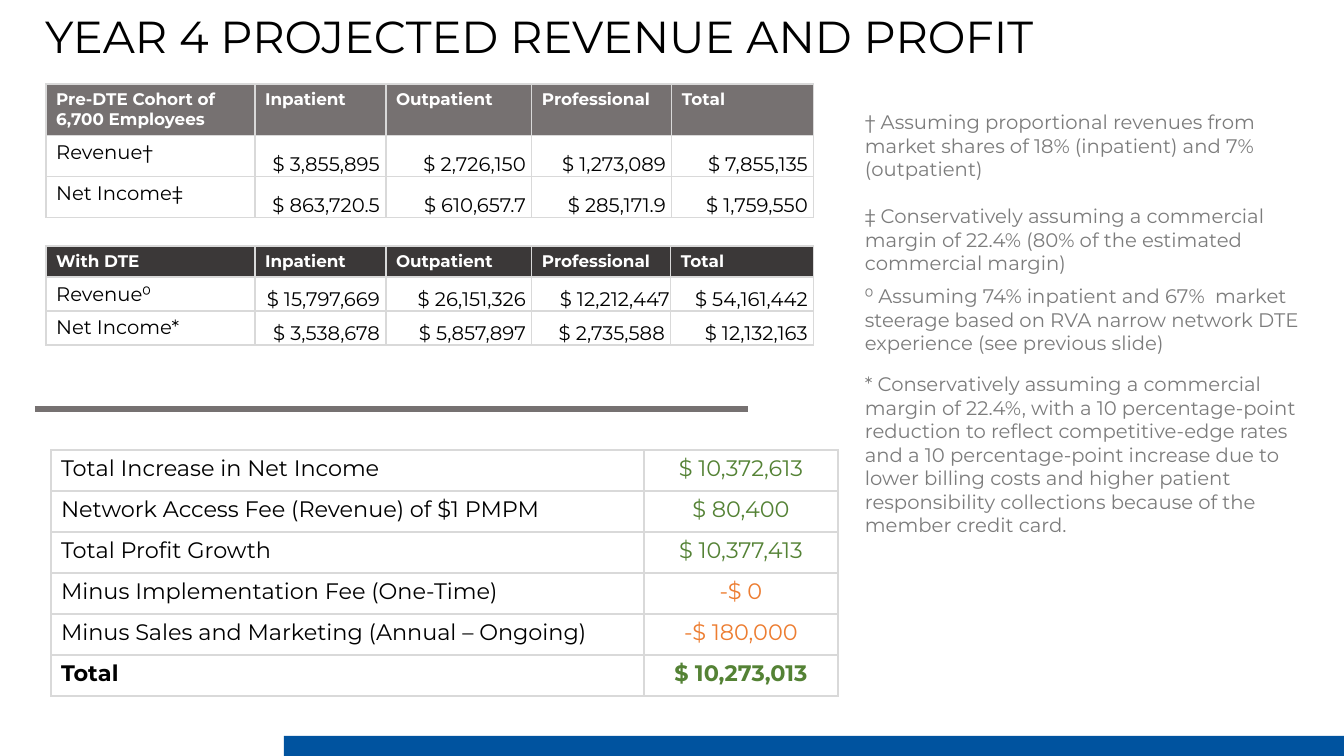
"""Build the year 4 projected revenue and profit slide."""
from lxml import etree
from pptx import Presentation
from pptx.dml.color import RGBColor
from pptx.enum.shapes import MSO_CONNECTOR, MSO_SHAPE
from pptx.enum.text import MSO_ANCHOR, PP_ALIGN
from pptx.oxml import parse_xml
from pptx.oxml.ns import nsdecls, qn
from pptx.util import Emu, Pt

LEFT, CENTER, RIGHT = PP_ALIGN.LEFT, PP_ALIGN.CENTER, PP_ALIGN.RIGHT
TOP, BOTTOM = MSO_ANCHOR.TOP, MSO_ANCHOR.BOTTOM
STRAIGHT, RECTANGLE = MSO_CONNECTOR.STRAIGHT, MSO_SHAPE.RECTANGLE
SCALE = 914400 / 100.8
FONT = "Montserrat"
COLOURS = {
    "black": "000000", "white": "FFFFFF", "grid": "D9D9D9", "grey": "767171",
    "charcoal": "3B3838", "note": "7C7C7C", "green": "548235",
    "orange": "ED7D31", "blue": "00539F",
}


def px(*lengths):
    return [Emu(round(length * SCALE)) for length in lengths]


def write(frame, text, size, colour, bold=False, align=LEFT):
    frame.text = text
    paragraph = frame.paragraphs[0]
    paragraph.alignment = align
    paragraph.font.name = FONT
    paragraph.font.size = Pt(size)
    paragraph.font.bold = bold
    paragraph.font.color.rgb = RGBColor.from_string(COLOURS[colour])


presentation = Presentation()
presentation.slide_width, presentation.slide_height = px(1344, 756)
slide = presentation.slides.add_slide(presentation.slide_layouts[5])

title = slide.shapes.title
title.left, title.top, title.width, title.height = px(35, 4, 1134, 65)
write(title.text_frame, "YEAR 4 PROJECTED REVENUE AND PROFIT", 32, "black")
title.text_frame.vertical_anchor = TOP

HEADINGS = ["Inpatient", "Outpatient", "Professional", "Total"]
tables = [
    {"left": 46, "top": 84, "columns": [209, 131, 146, 140, 142],
     "heights": [51, 41, 41], "header": "grey", "rows": [
         ["Pre-DTE Cohort of 6,700 Employees", *HEADINGS],
         ["Revenue†", "$ 3,855,895", "$ 2,726,150", "$ 1,273,089", "$ 7,855,135"],
         ["Net Income‡", "$ 863,720.5", "$ 610,657.7", "$ 285,171.9", "$ 1,759,550"]]},
    {"left": 46, "top": 246, "columns": [209, 131, 146, 139, 143],
     "heights": [31, 34, 34], "header": "charcoal", "rows": [
         ["With DTE", *HEADINGS],
         ["Revenue⁰", "$ 15,797,669", "$ 26,151,326", "$ 12,212,447", "$ 54,161,442"],
         ["Net Income*", "$ 3,538,678", "$ 5,857,897", "$ 2,735,588", "$ 12,132,163"]]},
    {"left": 51, "top": 450, "columns": [593, 194],
     "heights": [41] * 6, "header": None, "rows": [
         ["Total Increase in Net Income", "$ 10,372,613"],
         ["Network Access Fee (Revenue) of $1 PMPM", "$ 80,400"],
         ["Total Profit Growth", "$ 10,377,413"],
         ["Minus Implementation Fee (One-Time)", "-$ 0"],
         ["Minus Sales and Marketing (Annual – Ongoing)", "-$ 180,000"],
         ["Total", "$ 10,273,013"]]},
]

for entry in tables:
    rows, header = entry["rows"], entry["header"]
    frame = slide.shapes.add_table(
        len(rows), len(rows[0]),
        *px(entry["left"], entry["top"], sum(entry["columns"]), sum(entry["heights"])))
    table = frame.table
    table.first_row = table.horz_banding = False
    for column, width in zip(table.columns, px(*entry["columns"])):
        column.width = width
    for row, height in zip(table.rows, px(*entry["heights"])):
        row.height = height
    for row_index, texts in enumerate(rows):
        for column_index, text in enumerate(texts):
            cell = table.cell(row_index, column_index)
            properties = cell._tc.get_or_add_tcPr()
            for side in ("lnL", "lnR", "lnT", "lnB"):
                properties.append(parse_xml(
                    f'<a:{side} {nsdecls("a")} w="12700"><a:solidFill>'
                    f'<a:srgbClr val="{COLOURS["grid"]}"/></a:solidFill></a:{side}>'))
            if header and row_index == 0:
                cell.fill.solid()
                cell.fill.fore_color.rgb = RGBColor.from_string(COLOURS[header])
                write(cell.text_frame, text, 12, "white", True)
                continue
            cell.fill.background()
            if header is None:
                amount_colour = "orange" if text.startswith("-") else "green"
                write(cell.text_frame, text, 16,
                      amount_colour if column_index else "black",
                      texts[0] == "Total", CENTER if column_index else LEFT)
            elif column_index == 0:
                write(cell.text_frame, text, 14, "black")
            else:
                write(cell.text_frame, text, 14, "black", align=RIGHT)
                cell.vertical_anchor = BOTTOM
                right_margin = 1 if text == "$ 12,212,447" else 6
                (cell.margin_left, cell.margin_top,
                 cell.margin_right, cell.margin_bottom) = px(1, 1, right_margin, 0)

divider = slide.shapes.add_connector(STRAIGHT, *px(35, 409, 748, 409))
divider.line.color.rgb = RGBColor.from_string(COLOURS["grey"])
divider.line.width = Pt(4.5)
etree.SubElement(divider._element.spPr, qn("a:effectLst"))

notes = [
    (105, 82, "† Assuming proportional revenues from market shares of 18% (inpatient) "
              "and 7% (outpatient)"),
    (199, 82, "‡ Conservatively assuming a commercial margin of 22.4% (80% of the "
              "estimated commercial margin)"),
    (279, 82, "⁰ Assuming 74% inpatient and 67%  market steerage based on RVA narrow "
              "network DTE experience (see previous slide)"),
    (367, 176, "* Conservatively assuming a commercial margin of 22.4%, with a 10 "
               "percentage-point reduction to reflect competitive-edge rates and a 10 "
               "percentage-point increase due to lower billing costs and higher patient "
               "responsibility collections because of the member credit card."),
]
for top, height, text in notes:
    note = slide.shapes.add_textbox(*px(855, top, 476, height))
    note.text_frame.word_wrap = True
    write(note.text_frame, text, 14, "note")

footer_bar = slide.shapes.add_shape(RECTANGLE, *px(284, 736, 1060, 20))
footer_bar.shadow.inherit = False
footer_bar.fill.solid()
footer_bar.fill.fore_color.rgb = RGBColor.from_string(COLOURS["blue"])
footer_bar.line.fill.background()

presentation.save("out.pptx")
